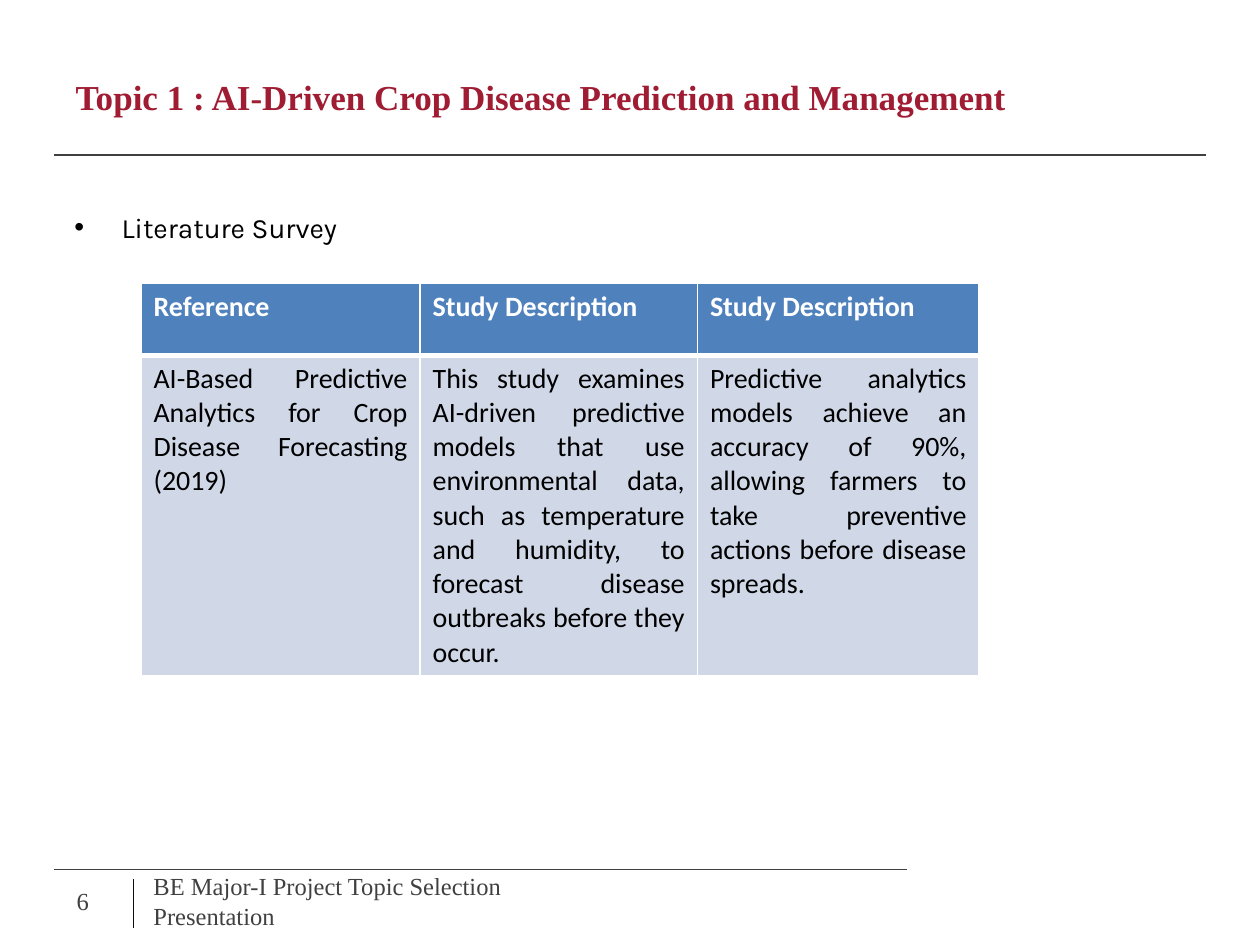
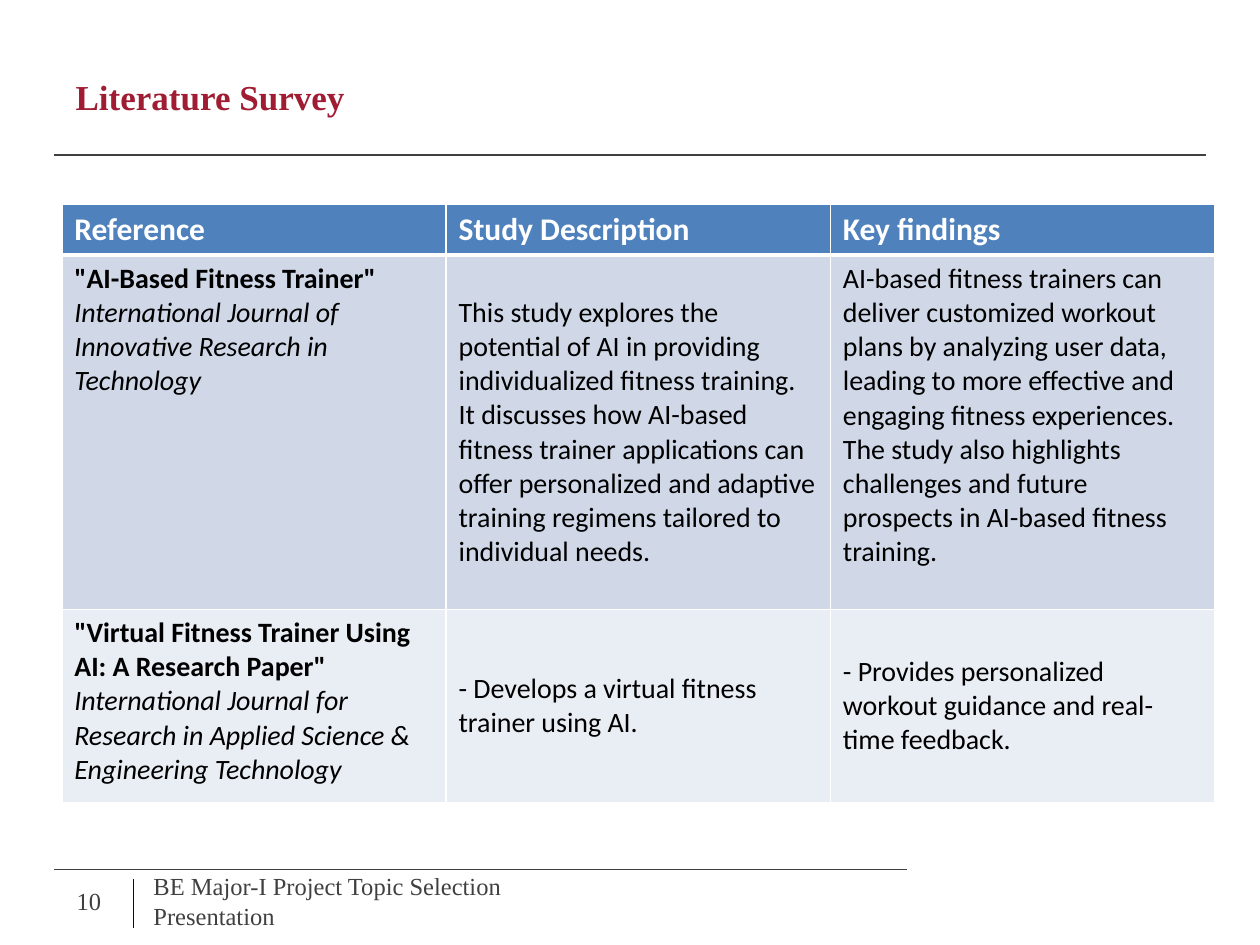
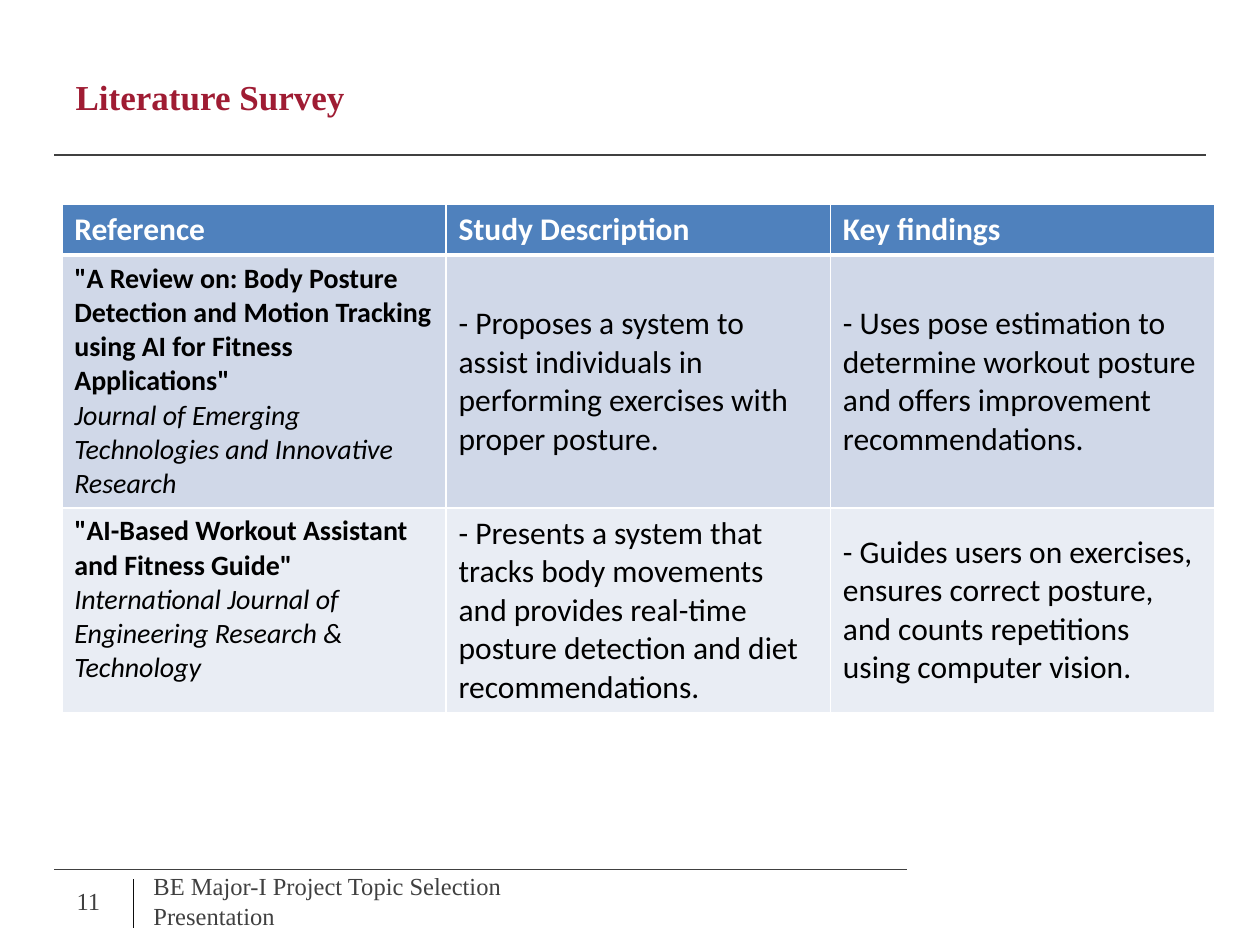
import pptx
import pptx.util
import pptx.dml.color
import pptx.enum.shapes
import pptx.enum.text
import pptx.oxml.ns
from lxml import etree

Pt = pptx.util.Pt
ALIGN = pptx.enum.text.PP_ALIGN
ANCHOR = pptx.enum.text.MSO_ANCHOR

COLORS = {
    "title": "9F1C33",
    "rule": "404040",
    "divider": "0D0D0D",
    "text": "000000",
    "white": "FFFFFF",
    "header": "4F81BD",
    "odd_row": "D0D8E8",
    "even_row": "E9EDF4",
}
SERIF, SANS, LIST_FONT = "Times New Roman", "Calibri", "Karla"
FOOTER = "BE Major-I Project Topic Selection Presentation"
TITLE_ONLY, TITLE_AND_BODY = 5, 1


def rgb(name):
    return pptx.dml.color.RGBColor.from_string(COLORS[name])


def add_child(parent, tag, **attributes):
    return etree.SubElement(parent, pptx.oxml.ns.qn(tag), attributes)


def write(para, text, font=SANS, size=16, color="text", bold=False,
          italic=False, align=ALIGN.LEFT):
    """Append one formatted span to a paragraph."""
    para.alignment = align
    span = para.add_run()
    span.text = text
    span.font.name = font
    span.font.size = Pt(size)
    span.font.color.rgb = rgb(color)
    span.font.bold = bold
    span.font.italic = italic


class SlideWriter:
    """Holds the deck, its shared style and the current slide."""

    def __init__(self):
        self.deck = pptx.Presentation()
        self.deck.slide_width, self.deck.slide_height = Pt(720), Pt(540)
        self.page = None

    def start(self, title, number, layout=TITLE_ONLY):
        self.page = self.deck.slides.add_slide(self.deck.slide_layouts[layout])
        # Title and rules
        frame = self.place(self.page.shapes.title, 36, 21.6, 648, 67)
        frame.vertical_anchor = ANCHOR.MIDDLE
        write(frame.paragraphs[0], title, font=SERIF, size=20, color="title", bold=True)
        self.line(31, 88.5, 689, 88.5)
        self.line(31, 497, 518.5, 497)
        self.line(76.3, 502.5, 76.3, 530.5, "divider")
        # Footer
        self.footer_text(FOOTER, 80.6, 228)
        self.footer_text(str(number), 36.7, 37.5)

    def place(self, shape, left, top, width, height):
        shape.left, shape.top = Pt(left), Pt(top)
        shape.width, shape.height = Pt(width), Pt(height)
        frame = shape.text_frame
        frame.word_wrap = True
        frame.auto_size = pptx.enum.text.MSO_AUTO_SIZE.NONE
        return frame

    def line(self, x1, y1, x2, y2, color="rule"):
        line = self.page.shapes.add_connector(
            pptx.enum.shapes.MSO_CONNECTOR.STRAIGHT, Pt(x1), Pt(y1), Pt(x2), Pt(y2))
        line.line.color.rgb = rgb(color)
        line.line.width = Pt(0.75)
        add_child(line._element.spPr, "a:effectLst")

    def footer_text(self, text, left, width):
        box = self.page.shapes.add_textbox(0, 0, 0, 0)
        frame = self.place(box, left, 500.4, width, 28.8)
        frame.vertical_anchor = ANCHOR.MIDDLE
        write(frame.paragraphs[0], text, font=SERIF, size=14, color="rule")

    def bullet(self, text):
        body = self.page.placeholders[1]
        para = self.place(body, 35.3, 116.6, 635, 317.5).paragraphs[0]
        write(para, text, font=LIST_FONT)
        properties = para._p.get_or_add_pPr()
        properties.set("marL", str(Pt(27)))
        properties.set("indent", str(Pt(-27)))
        add_child(properties, "a:buFont", typeface="Arial")
        add_child(properties, "a:buChar", char="•")

    def borders(self, cell, top, bottom):
        properties = cell._tc.get_or_add_tcPr()
        widths = {"a:lnL": 1, "a:lnR": 1, "a:lnT": top, "a:lnB": bottom}
        for index, (tag, width) in enumerate(widths.items()):
            border = add_child(properties, tag, w=str(Pt(width)))
            fill = add_child(border, "a:solidFill")
            add_child(fill, "a:srgbClr", val=COLORS["white"])
            properties.insert(index, border)

    def table(self, left, top, widths, heights, header, rows, header_size=18):
        """Each body cell is a list of (text, format) lines and an anchor."""
        table = self.page.shapes.add_table(
            len(heights), len(widths), Pt(left), Pt(top),
            Pt(sum(widths)), Pt(sum(heights))).table
        table.horz_banding = False
        for column, width in zip(table.columns, widths):
            column.width = Pt(width)
        heading = dict(size=header_size, color="white", bold=True)
        heading_cells = [([(text, heading)], ANCHOR.TOP) for text in header]
        for r, cells in enumerate([heading_cells, *rows]):
            table.rows[r].height = Pt(heights[r])
            fill = "header" if r == 0 else "odd_row" if r % 2 else "even_row"
            for c, (lines, anchor) in enumerate(cells):
                cell = table.cell(r, c)
                cell.fill.solid()
                cell.fill.fore_color.rgb = rgb(fill)
                self.borders(cell, 3 if r == 1 else 1, 3 if r == 0 else 1)
                cell.vertical_anchor = anchor
                para = cell.text_frame.paragraphs[0]
                for i, (text, style) in enumerate(lines):
                    if i:
                        para.add_line_break()
                    write(para, text, **style)

    def survey(self, number, heights, rows):
        self.start("Literature Survey", number)
        self.table(35.3, 116.6, [219.6] * 3, heights,
                   ["Reference", "Study Description", "Key findings"], rows)


def reference(paper, journal):
    return [(paper, dict(bold=True)), (journal, dict(italic=True))], ANCHOR.TOP


def note(text, anchor=ANCHOR.MIDDLE, **style):
    return [(text, style)], anchor


def main():
    slides = SlideWriter()

    # Crop disease survey
    slides.start("Topic 1 : AI-Driven Crop Disease Prediction and Management", 6,
                 TITLE_AND_BODY)
    slides.bullet("Literature Survey")
    crop_study = [
        "AI-Based Predictive Analytics for Crop Disease Forecasting (2019)",
        "This study examines AI-driven predictive models that use environmental data, "
        "such as temperature and humidity, to forecast disease outbreaks before they occur.",
        "Predictive analytics models achieve an accuracy of 90%, allowing farmers to take "
        "preventive actions before disease spreads.",
    ]
    slides.table(80.6, 162, [159.5, 158.5, 161], [41, 183],
                 ["Reference", "Study Description", "Study Description"],
                 [[note(text, ANCHOR.TOP, align=ALIGN.JUSTIFY) for text in crop_study]],
                 header_size=16)

    # Fitness trainer survey
    slides.survey(10, [29, 202.5, 110.5], [
        [reference('"AI-Based Fitness Trainer"',
                   "International Journal of Innovative Research in Technology"),
         note("This study explores the potential of AI in providing individualized fitness "
              "training. It discusses how AI-based fitness trainer applications can offer "
              "personalized and adaptive training regimens tailored to individual needs."),
         note("AI-based fitness trainers can deliver customized workout plans by analyzing "
              "user data, leading to more effective and engaging fitness experiences. The "
              "study also highlights challenges and future prospects in AI-based fitness "
              "training.", ANCHOR.TOP)],
        [reference('"Virtual Fitness Trainer Using AI: A Research Paper"',
                   "International Journal for Research in Applied Science & "
                   "Engineering Technology"),
         note("- Develops a virtual fitness trainer using AI."),
         note("- Provides personalized workout guidance and real-time feedback.")],
    ])

    # Posture and workout survey
    slides.survey(11, [29, 144.5, 116.5], [
        [reference('"A Review on: Body Posture Detection and Motion Tracking using AI '
                   'for Fitness Applications"',
                   "Journal of Emerging Technologies and Innovative Research"),
         note("- Proposes a system to assist individuals in performing exercises with "
              "proper posture.", size=18),
         note("- Uses pose estimation to determine workout posture and offers improvement "
              "recommendations.", size=18)],
        [reference('"AI-Based Workout Assistant and Fitness Guide"',
                   "International Journal of Engineering Research & Technology"),
         note("- Presents a system that tracks body movements and provides real-time "
              "posture detection and diet recommendations.", size=18),
         note("- Guides users on exercises, ensures correct posture, and counts "
              "repetitions using computer vision.", size=18)],
    ])

    slides.deck.save("out.pptx")


if __name__ == "__main__":
    main()
